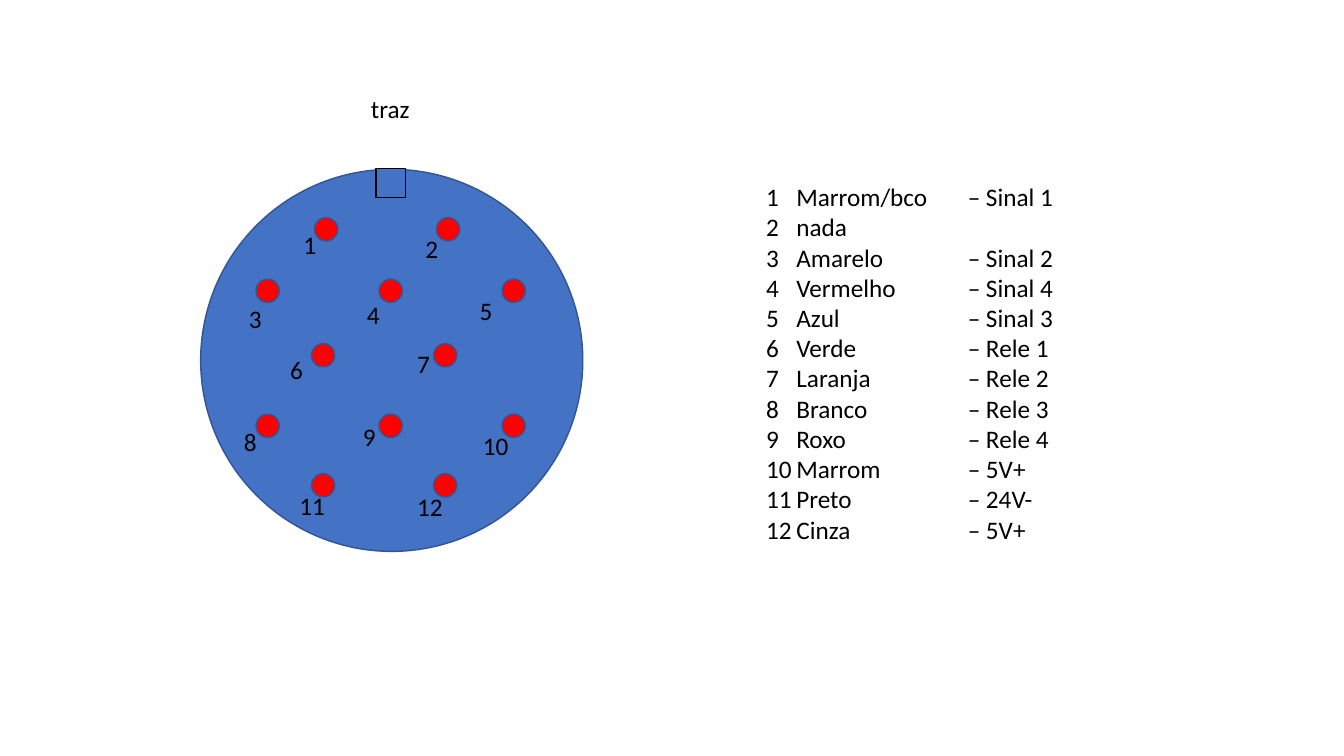
from dataclasses import dataclass

from lxml import etree
from pptx import Presentation
from pptx.dml.color import RGBColor
from pptx.enum.shapes import MSO_SHAPE
from pptx.oxml.ns import qn
from pptx.util import Inches, Pt

OVAL, RECT = MSO_SHAPE.OVAL, MSO_SHAPE.RECTANGLE
COLORS = {"body": "4472C4", "edge": "325491", "pin": "FF0000", "text": "000000"}
FONT, SIZE = "Calibri", 18

# Pin grid: left edges of the columns, top edges of the rows
COLS = (2.54, 3.09, 3.76, 4.3, 4.98)
ROWS = (2.16, 2.77, 3.41, 4.11, 4.7)
PIN_SIZE, LABEL_H = 0.23, 0.4
TOP_ROW_SHIFT = 0.03
TAB_STOPS = (0.3, 2.0)  # wire colour, signal


@dataclass
class Pin:
    col: int
    row: int
    dx: float  # label offset from the pin
    dy: float
    wire: str
    signal: str = ""


PINS = [
    Pin(1, 0, -0.21, 0.07, "Marrom/bco", "Sinal 1"),
    Pin(3, 0, -0.21, 0.11, "nada"),
    Pin(0, 1, -0.17, 0.19, "Amarelo", "Sinal 2"),
    Pin(2, 1, -0.22, 0.15, "Vermelho", "Sinal 4"),
    Pin(4, 1, -0.32, 0.11, "Azul", "Sinal 3"),
    Pin(1, 2, -0.31, 0.06, "Verde", "Rele 1"),
    Pin(3, 2, -0.26, 0.0, "Laranja", "Rele 2"),
    Pin(0, 3, -0.22, 0.07, "Branco", "Rele 3"),
    Pin(2, 3, -0.26, 0.02, "Roxo", "Rele 4"),
    Pin(4, 3, -0.29, 0.11, "Marrom", "5V+"),
    Pin(1, 4, -0.22, 0.12, "Preto", "24V-"),
    Pin(3, 4, -0.26, 0.13, "Cinza", "5V+"),
]


def rgb(name: str) -> RGBColor:
    return RGBColor.from_string(COLORS[name])


def add_figure(kind: int, x: float, y: float, size: float, fill: str, line: str) -> None:
    sp = s.shapes.add_shape(kind, *map(Inches, (x, y, size, size)))
    sp.shadow.inherit = False
    sp.fill.solid()
    sp.fill.fore_color.rgb = rgb(fill)
    sp.line.color.rgb = rgb(line)
    sp.line.width = Pt(1)


def add_text(text: str, x: float, y: float, width: float, height: float = LABEL_H):
    """Add a text box with one paragraph per line and return its paragraphs."""
    tf = s.shapes.add_textbox(*map(Inches, (x, y, width, height))).text_frame
    tf.word_wrap = False
    tf.text = text
    for p in tf.paragraphs:
        p.font.name, p.font.size = FONT, Pt(SIZE)
        p.font.color.rgb = rgb("text")
    return tf.paragraphs


def set_tabs(p) -> None:
    """Align the list columns on tab stops."""
    tabs = etree.Element(qn("a:tabLst"))
    for stop in TAB_STOPS:
        etree.SubElement(tabs, qn("a:tab"), pos=str(Inches(stop)), algn="l")
    p._p.get_or_add_pPr().insert(0, tabs)


prs = Presentation()
prs.slide_width, prs.slide_height = Inches(13.33), Inches(7.5)
s = prs.slides.add_slide(prs.slide_layouts[6])

# Connector body and key
add_figure(OVAL, 1.99, 1.68, 3.79, "body", "edge")
add_figure(RECT, 3.73, 1.67, 0.29, "body", "text")
add_text("traz", 3.58, 0.88, 0.59)

# Pins, then their numbers in front
spots = [(COLS[pin.col] + (TOP_ROW_SHIFT if pin.row == 0 else 0), ROWS[pin.row])
         for pin in PINS]
for x, y in spots:
    add_figure(OVAL, x, y, PIN_SIZE, "pin", "edge")
for number, (pin, (x, y)) in enumerate(zip(PINS, spots), 1):
    add_text(str(number), x + pin.dx, y + pin.dy, 0.33 if number < 10 else 0.46)

# Wire list
lines = [f"{number}\t{pin.wire}" + (f"\t– {pin.signal}" if pin.signal else "")
         for number, pin in enumerate(PINS, 1)]
for p in add_text("\n".join(lines), 7.5, 1.75, 3.25, 3.74):
    set_tabs(p)

prs.save("out.pptx")
